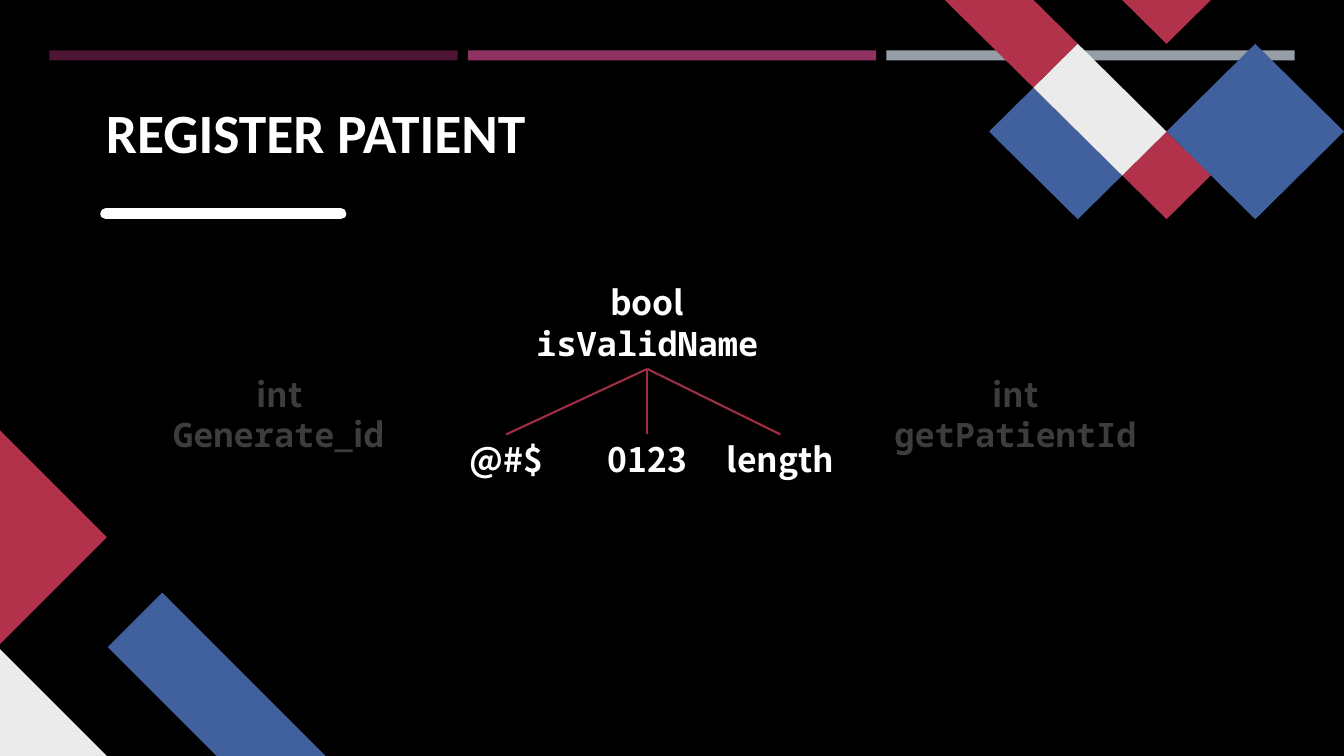
from lxml import etree
from pptx import Presentation
from pptx.dml.color import RGBColor
from pptx.enum import shapes, text
from pptx.oxml.ns import qn
from pptx.util import Inches, Pt

WIDE, HIGH = 13.33, 7.5
HUES = {
    "back": "000000", "white": "FFFFFF", "dim": "3D3D3D", "pale": "EBEBEB",
    "red": "B2324B", "blue": "40619D", "branch": "A02D44",
    "plum": "4D1434", "pink": "903163", "gray": "969FA7",
}
SANS, MONO = "Noto Sans CJK SC", "Noto Sans Mono"


def hue(name):
    return RGBColor.from_string(HUES[name])


def paint(shape, name):
    shape.fill.solid()
    shape.fill.fore_color.rgb = hue(name)
    shape.line.fill.background()
    shape.shadow.inherit = False


def write(para, words, face, size, name):
    run = para.add_run()
    run.text = words
    look = {"name": face, "size": Pt(size), "bold": True}
    for key, value in look.items():
        setattr(run.font, key, value)
    run.font.color.rgb = hue(name)


def link(slide, start, end, name, width):
    line = slide.shapes.add_connector(
        shapes.MSO_CONNECTOR.STRAIGHT, *(Inches(n) for n in start + end))
    line.line.color.rgb = hue(name)
    line.line.width = Pt(width)
    etree.SubElement(line._element.spPr, qn("a:effectLst"))
    return line


def mesh(slide, left, top, step, parts):
    """Draw outlines whose points are columns and rows of a grid."""
    dx, dy = step
    for name, rings in parts:
        spots = [[(Inches(left + x * dx), Inches(top + y * dy)) for x, y in ring]
                 for ring in rings]
        pen = slide.shapes.build_freeform(*spots[0][0])
        for i, ring in enumerate(spots):
            if i:
                pen.move_to(*ring[0])
            pen.add_line_segments(ring[1:], close=True)
        paint(pen.convert_to_shape(), name)


def bars(slide, left, top, width, height):
    gap = 0.1
    wide = (width - 2 * gap) / 3
    for i, name in enumerate(("plum", "pink", "gray")):
        bar = slide.shapes.add_shape(
            shapes.MSO_SHAPE.RECTANGLE, Inches(left + i * (wide + gap)),
            Inches(top), Inches(wide), Inches(height))
        paint(bar, name)


def corner(slide, left, base):
    """Bottom left: half diamond, triangle and slanted band."""
    half = (0.53, 0.53)
    mesh(slide, left + 1.07, base - 3 * 0.54, (0.54, 0.54),
         [("blue", [[(0, 1), (1, 0), (4, 3), (2, 3)]])])
    mesh(slide, left, base - 2 * 0.53, half, [("pale", [[(0, 0), (2, 2), (0, 2)]])])
    mesh(slide, left, base - 3.23, half, [("red", [[(0, 0), (2, 2), (0, 4)]])])


def gems(slide, right, top):
    """Top right: diamonds on a grid of nine columns and five rows."""
    mesh(slide, right - 9 * 0.44, top, (0.44, 0.435), [
        ("red", [[(3, 1), (2, 0), (0, 0), (2, 2)],
                 [(6, 4), (5, 3), (4, 4), (5, 5)]]),
        ("blue", [[(2, 2), (1, 3), (3, 5), (4, 4)]]),
        ("red", [[(6, 0), (4, 0), (5, 1)]]),
        ("pale", [[(3, 1), (2, 2), (4, 4), (5, 3)]]),
        ("blue", [[(9, 3), (7, 1), (5, 3), (7, 5)]]),
    ])


def head(slide, left, top, width, height):
    title = slide.shapes.title
    place = {"left": left, "top": top, "width": width, "height": height}
    for key, value in place.items():
        setattr(title, key, Inches(value))
    frame = title.text_frame
    look = {"margin_left": 0, "margin_right": 0, "margin_top": 0,
            "margin_bottom": 0, "word_wrap": True,
            "auto_size": text.MSO_AUTO_SIZE.NONE,
            "vertical_anchor": text.MSO_ANCHOR.BOTTOM}
    for key, value in look.items():
        setattr(frame, key, value)
    para = frame.paragraphs[0]
    para.alignment = text.PP_ALIGN.LEFT
    write(para, "REGISTER PATIENT", "Calibri", 39.6, "white")
    # Rounded rule under the title
    rule = link(slide, (left, top + 1.16), (left + 2.33, top + 1.16), "white", 8)
    rule.line._get_or_add_ln().set("cap", "rnd")


def label(slide, mid, top, width, height, name, runs):
    box = slide.shapes.add_textbox(
        Inches(mid - width / 2), Inches(top), Inches(width), Inches(height))
    frame = box.text_frame
    frame.word_wrap = True
    frame.auto_size = text.MSO_AUTO_SIZE.SHAPE_TO_FIT_TEXT
    para = frame.paragraphs[0]
    para.alignment = text.PP_ALIGN.CENTER
    for words, face in runs:
        write(para, words, face, 24, name)
    return box


def tree(slide, mid, top):
    """The active function with its checks, between two dimmed ones."""
    size = (2.65, 0.91)
    label(slide, mid - 3.65, top + 0.91, *size, "dim",
          [("int ", SANS), ("Generate", MONO), ("_id", SANS)])
    root = label(slide, mid, top, *size, "white",
                 [("bool ", SANS), ("isValidName", MONO)])
    label(slide, mid + 3.65, top + 0.91, *size, "dim",
          [("int ", SANS), ("getPatientId", MONO)])
    # Checks and their branches
    for words, shift, wide in (("@#$", -1.4, 1.14), ("0123", 0, 1.14),
                               ("length", 1.32, 1.32)):
        leaf = label(slide, mid + shift, top + 1.56, wide, 0.5, "white",
                     [(words, SANS)])
        line = link(slide, (mid, top + 0.91), (mid + shift, top + 1.56),
                    "branch", 1.5)
        line.begin_connect(root, 2)
        line.end_connect(leaf, 0)


def main():
    deck = Presentation()
    deck.slide_width, deck.slide_height = Inches(WIDE), Inches(HIGH)
    slide = deck.slides.add_slide(deck.slide_layouts[5])
    slide.background.fill.solid()
    slide.background.fill.fore_color.rgb = hue("back")
    bars(slide, 0.49, 0.5, 12.35, 0.1)
    corner(slide, 0, HIGH)
    gems(slide, WIDE, 0)
    head(slide, 1.05, 0.96, 8.24, 0.67)
    tree(slide, 6.42, 2.75)
    deck.save("out.pptx")


if __name__ == "__main__":
    main()
